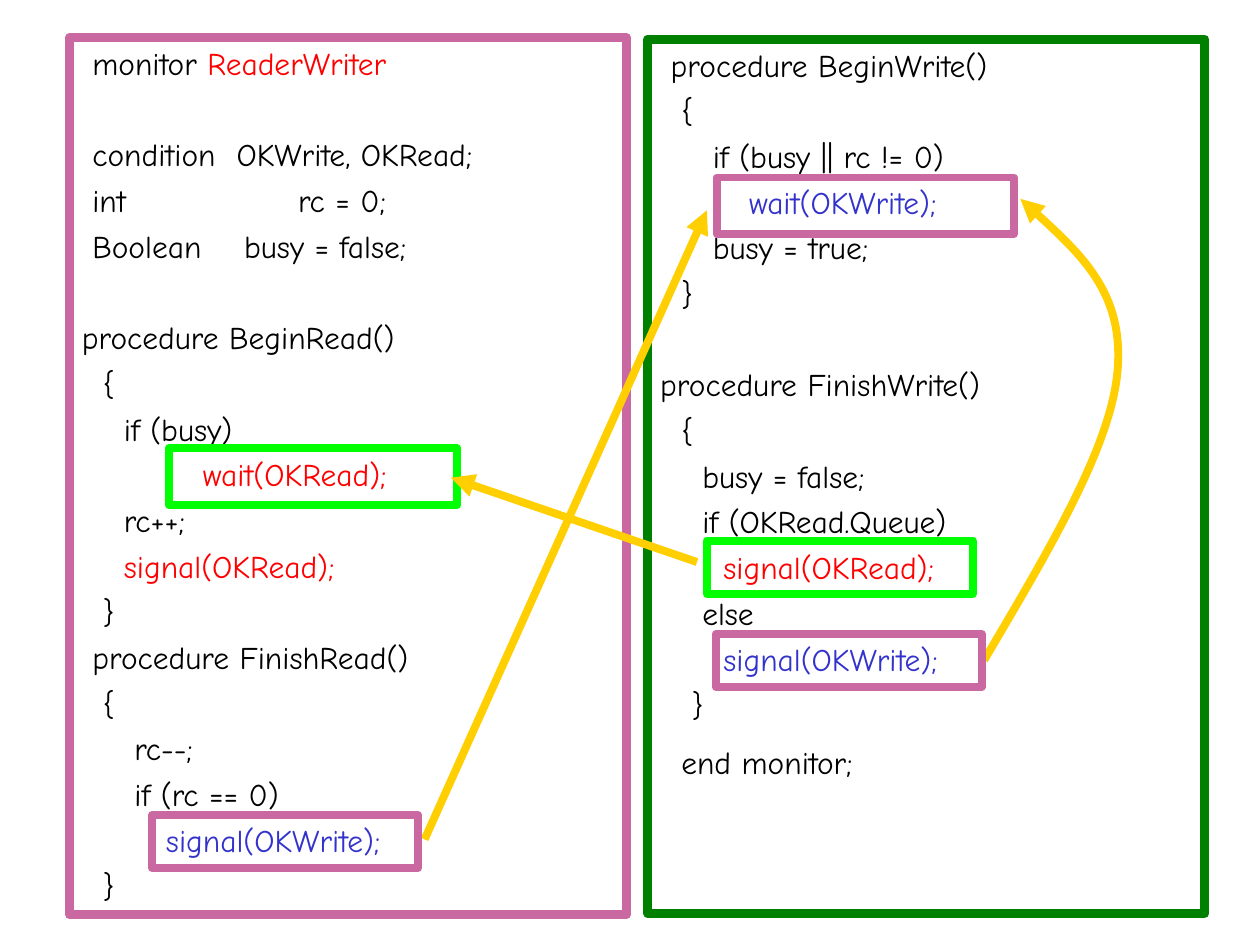
from pptx import Presentation, util as u
from pptx.dml.color import RGBColor
from pptx.enum import shapes, text
from pptx.oxml.ns import qn
from lxml import etree

COLORS = {
    "code": "000000", "read": "FF0000", "write": "3333CC",
    "pink": "CA68A2", "green": "008000", "lime": "00FF00", "arrow": "FFCF01",
}
FONT = {"name": "Comic Neue", "size": u.Pt(18)}
FRAME = {
    "word_wrap": True, "vertical_anchor": text.MSO_ANCHOR.TOP,
    "margin_left": u.Cm(0.25), "margin_right": u.Cm(0.25),
    "margin_top": u.Cm(0.13), "margin_bottom": u.Cm(0.13),
}
LINE_GAP, END_GAP, SECTION_GAP = 4.5, 11.2, 30.6

READER_CODE = [
    {"runs": [(" monitor ", "code"), ("ReaderWriter", "read")]},
    {"runs": [(" condition\tOKWrite, OKRead;", "code")], "gap": SECTION_GAP, "tab": 3.12},
    {"runs": [(" int\trc = 0;", "code")], "tab": 4.36},
    {"runs": [(" Boolean\tbusy = false;", "code")], "tab": 3.27},
    {"runs": [("procedure BeginRead()", "code")], "gap": SECTION_GAP},
    {"runs": [("  {", "code")]},
    {"runs": [("    if (busy)", "code")]},
    {"runs": [("\t", "code"), ("wait(OKRead);", "read")], "tab": 2.44},
    {"runs": [("    rc++;", "code")]},
    {"runs": [("    ", "code"), ("signal(OKRead);", "read")]},
    {"runs": [("  }", "code")]},
    {"runs": [(" procedure FinishRead()", "code")]},
    {"runs": [("  {", "code")]},
    {"runs": [("     rc--;", "code")]},
    {"runs": [("     if (rc == 0)", "code")]},
    {"runs": [("        ", "code"), ("signal(OKWrite);", "write")]},
    {"runs": [("  }", "code")]},
]
WRITER_CODE = [
    {"runs": [(" procedure BeginWrite()", "code")]},
    {"runs": [("  {", "code")]},
    {"runs": [("     if (busy || rc != 0)", "code")]},
    {"runs": [("\t", "code"), ("wait(OKWrite);", "write")], "tab": 1.79},
    {"runs": [("     busy = true;", "code")]},
    {"runs": [("  }", "code")]},
    {"runs": [("procedure FinishWrite()", "code")], "gap": SECTION_GAP},
    {"runs": [("  {", "code")]},
    {"runs": [("    busy = false;", "code")]},
    {"runs": [("    if (OKRead.Queue)", "code")]},
    {"runs": [("      ", "code"), ("signal(OKRead);", "read")]},
    {"runs": [("    else", "code")]},
    {"runs": [("      ", "code"), ("signal(OKWrite);", "write")]},
    {"runs": [("   }", "code")]},
    {"runs": [("  end monitor;", "code")], "gap": END_GAP},
]


def set_values(target, values):
    for name, value in values.items():
        setattr(target, name, value)


def style_line(shape, color, width):
    shape.line.color.rgb = RGBColor.from_string(COLORS[color])
    shape.line.width = u.Pt(width)


def add_outline(page, place, color, width=4.5):
    box = page.shapes.add_shape(shapes.MSO_SHAPE.RECTANGLE, *map(u.Cm, place))
    box.shadow.inherit = False
    box.fill.background()
    style_line(box, color, width)
    return box


def add_tab(para, position):
    tabs = etree.SubElement(para._p.get_or_add_pPr(), qn("a:tabLst"))
    etree.SubElement(tabs, qn("a:tab"), pos=str(u.Cm(position)), algn="l")


def add_code(page, place, color, lines):
    box = add_outline(page, place, color, 5)
    frame = box.text_frame
    set_values(frame, FRAME)
    for number, line in enumerate(lines):
        para = frame.add_paragraph() if number else frame.paragraphs[0]
        para.alignment = text.PP_ALIGN.LEFT
        if number:
            para.space_before = u.Pt(line.get("gap", LINE_GAP))
        if "tab" in line:
            add_tab(para, line["tab"])
        for words, role in line["runs"]:
            span = para.add_run()
            span.text = words
            set_values(span.font, FONT)
            span.font.color.rgb = RGBColor.from_string(COLORS[role])


def style_arrow(arrow):
    style_line(arrow, "arrow", 4.5)
    etree.SubElement(arrow.line._get_or_add_ln(), qn("a:tailEnd"), type="triangle")


def add_arrow(page, start, end):
    arrow = page.shapes.add_connector(
        shapes.MSO_CONNECTOR.STRAIGHT, *map(u.Cm, start + end))
    style_arrow(arrow)
    etree.SubElement(arrow._element.spPr, qn("a:effectLst"))


def add_curved_arrow(page, start, points):
    builder = page.shapes.build_freeform(*map(u.Cm, start))
    builder.add_line_segments([tuple(map(u.Cm, point)) for point in points], close=False)
    arrow = builder.convert_to_shape()
    arrow.shadow.inherit = False
    arrow.fill.background()
    style_arrow(arrow)
    outline = next(arrow._element.iter(qn("a:path")))
    segments = outline.findall(qn("a:lnTo"))
    for first in range(0, len(segments), 3):
        curve = etree.SubElement(outline, qn("a:cubicBezTo"))
        for segment in segments[first:first + 3]:
            curve.append(segment[0])
            outline.remove(segment)


def main():
    deck = Presentation()
    deck.slide_width, deck.slide_height = u.Cm(25.4), u.Cm(19.05)
    page = deck.slides.add_slide(deck.slide_layouts[6])
    add_code(page, (1.4, 0.76, 11.23, 17.68), "pink", READER_CODE)
    add_code(page, (13.06, 0.79, 11.23, 17.63), "green", WRITER_CODE)
    add_outline(page, (3.4, 9.04, 5.82, 1.14), "lime")
    add_outline(page, (14.25, 10.9, 5.36, 1.07), "lime")
    add_arrow(page, (14.05, 11.33), (9.09, 9.63))
    add_arrow(page, (8.56, 16.92), (14.25, 4.24))
    add_outline(page, (14.45, 3.58, 5.99, 1.14), "pink")
    add_outline(page, (3.07, 16.43, 5.36, 1.07), "pink")
    add_curved_arrow(page, (19.84, 13.31), [
        (21.11, 11.15), (22.4, 9.02), (22.53, 7.47),
        (22.66, 5.92), (21.62, 4.95), (20.57, 4.01),
    ])
    add_outline(page, (14.43, 12.78, 5.36, 1.07), "pink")
    deck.save("out.pptx")


if __name__ == "__main__":
    main()
